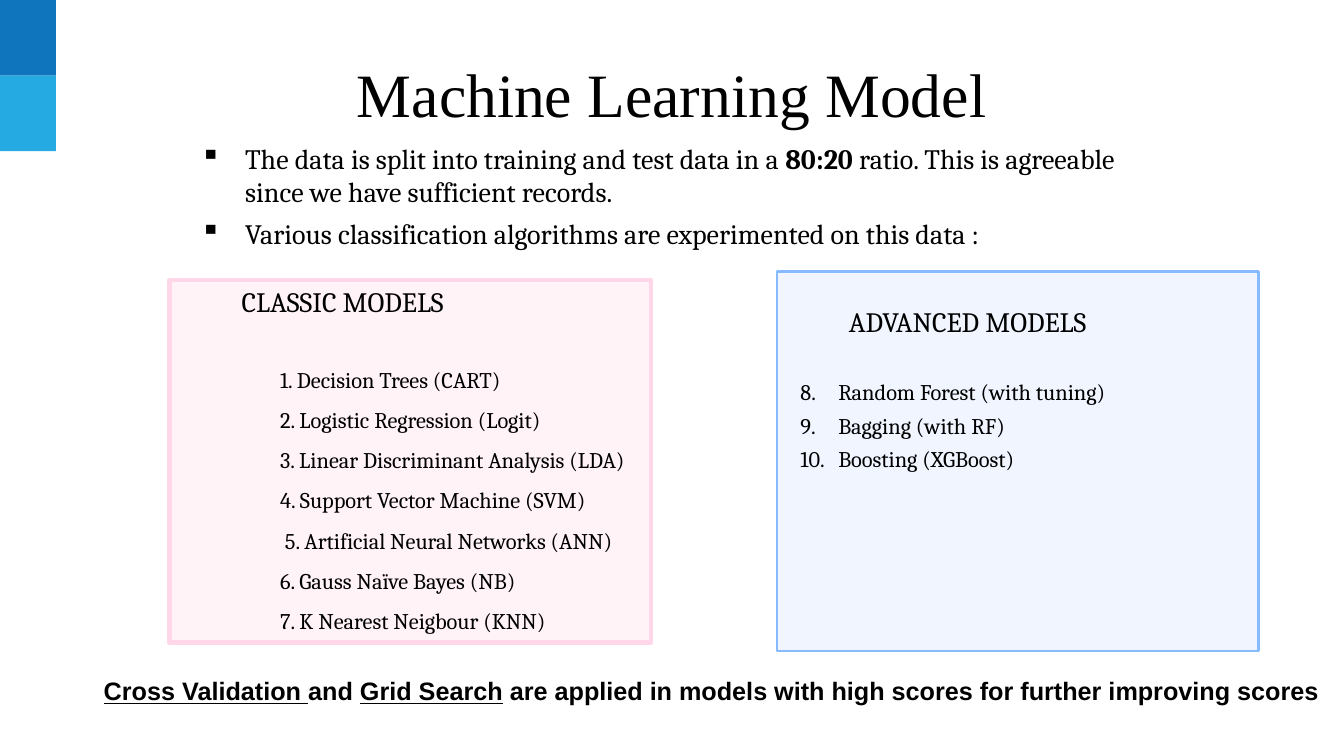
from lxml import etree
from pptx import Presentation
from pptx.dml.color import RGBColor
from pptx.enum.shapes import MSO_SHAPE
from pptx.enum.text import MSO_ANCHOR, PP_ALIGN
from pptx.oxml.ns import qn
from pptx.util import Pt

RECT = MSO_SHAPE.RECTANGLE
TOP, MIDDLE = MSO_ANCHOR.TOP, MSO_ANCHOR.MIDDLE
LEFT, CENTER = PP_ALIGN.LEFT, PP_ALIGN.CENTER
SERIF = "Cambria"

TITLE = "Machine Learning Model"
# A run is (text, bold, underline).
POINTS = [
    [("The data is split into training and test data in a ", False, False),
     ("80:20", True, False),
     (" ratio. This is agreeable since we have sufficient records.", False, False)],
    [("Various classification algorithms are experimented on this data :", False, False)],
]
CLASSIC = "CLASSIC MODELS"
CLASSICS = [
    "1. Decision Trees (CART)",
    "2. Logistic Regression (Logit)",
    "3. Linear Discriminant Analysis (LDA)",
    "4. Support Vector Machine (SVM)",
    "5. Artificial Neural Networks (ANN)",
    "6. Gauss Naïve Bayes (NB)",
    "7. K Nearest Neigbour (KNN)",
]
ADVANCED = "ADVANCED MODELS"
ADVANCEDS = ["Random Forest (with tuning)", "Bagging (with RF)", "Boosting (XGBoost)"]
FIRST = 8
FOOTER = [
    ("Cross Validation ", True, True),
    ("and ", True, False),
    ("Grid Search", True, True),
    (" are applied in models with high scores for further improving scores", True, False),
]
CORNER = ["0F75BD", "25AAE2"]

deck = Presentation()
deck.slide_width, deck.slide_height = Pt(960), Pt(540)
slide = deck.slides.add_slide(deck.slide_layouts[6])


def color(code):
    return RGBColor.from_string(code)


def add_box(x, y, w, h, fill, alpha=100, line=None, width=0):
    """Draw a rectangle; alpha is its opacity in percent."""
    box = slide.shapes.add_shape(RECT, Pt(x), Pt(y), Pt(w), Pt(h))
    box.shadow.inherit = False
    box.fill.solid()
    box.fill.fore_color.rgb = color(fill)
    if alpha < 100:
        tint = box.fill._xPr.find(qn("a:solidFill"))[0]
        etree.SubElement(tint, qn("a:alpha"), val=str(alpha * 1000))
    if line:
        box.line.color.rgb = color(line)
        box.line.width = Pt(width)
    else:
        box.line.fill.background()
    return box


def set_frame(shape, anchor=TOP, inset=3.6):
    frame = shape.text_frame
    frame.word_wrap = True
    frame.vertical_anchor = anchor
    frame.margin_left = frame.margin_right = Pt(7.2)
    frame.margin_top = frame.margin_bottom = Pt(inset)
    return frame


def add_frame(x, y, w, h, anchor=TOP, inset=3.6):
    return set_frame(slide.shapes.add_textbox(Pt(x), Pt(y), Pt(w), Pt(h)), anchor, inset)


def add_par(frame, runs, size, font=SERIF, align=LEFT, indent=0, hang=0,
            before=0, after=0, spacing=1.0):
    """Write runs, or one plain string, as the next paragraph."""
    par = frame.paragraphs[0]
    if par.runs:
        par = frame.add_paragraph()
    par.alignment, par.line_spacing = align, spacing
    par.space_before, par.space_after = Pt(before), Pt(after)
    par.font.size, par.font.name = Pt(size), font
    par.font.color.rgb = color("000000")
    props = par._p.get_or_add_pPr()
    props.set("marL", str(Pt(indent)))
    props.set("indent", str(Pt(-hang)))
    if isinstance(runs, str):
        runs = [(runs, False, False)]
    for text, bold, under in runs:
        run = par.add_run()
        run.text = text
        run.font.bold, run.font.underline = bold, under
    return par


def add_mark(par, tag, **values):
    """Give a paragraph its bullet or number, ahead of its font defaults."""
    mark = etree.Element(qn(tag), **values)
    par._p.pPr.find(qn("a:defRPr")).addprevious(mark)


for i, fill in enumerate(CORNER):
    add_box(0, 54 * i, 40, 54, fill)
add_box(555, 194, 344, 271, "72A1FF", 10, "87BBFF", 2)

head = add_frame(48, 21.6, 864, 90, MIDDLE, 7.2)
add_par(head, TITLE, 44, "Times New Roman", CENTER)

points = add_frame(96, 93.6, 711, 356, inset=7.2)
for runs in POINTS:
    par = add_par(points, runs, 20, indent=72, hang=32, before=5.6)
    add_mark(par, "a:buChar", char="▪")

right = add_frame(558.7, 213.8, 340.6, 153)
add_par(right, ADVANCED, 20, indent=40.5, after=24)
for name in ADVANCEDS:
    par = add_par(right, name, 16, indent=33, hang=27, before=4.8)
    add_mark(par, "a:buAutoNum", type="arabicPeriod", startAt=str(FIRST))

left = set_frame(add_box(121, 200, 344, 259, "FFD7E8", 29, "FFD7E8", 3.25))
add_par(left, CLASSIC, 20, indent=44.5, after=24)
for name in CLASSICS:
    shift = 3.5 if name.startswith("5") else 0
    add_par(left, name, 16, indent=72 + shift, spacing=1.5)

foot = add_frame(67, 478.8, 893, 29)
add_par(foot, FOOTER, 18, "Arial")

deck.save("out.pptx")
